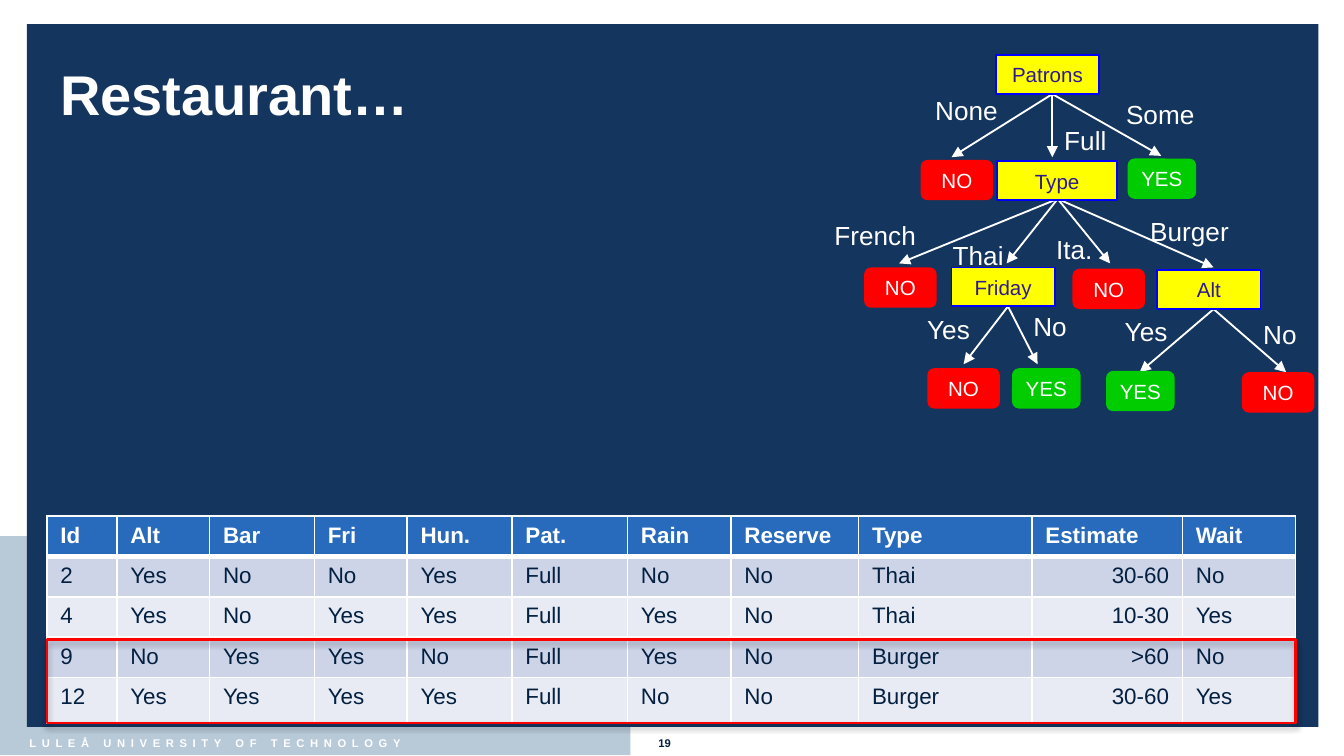
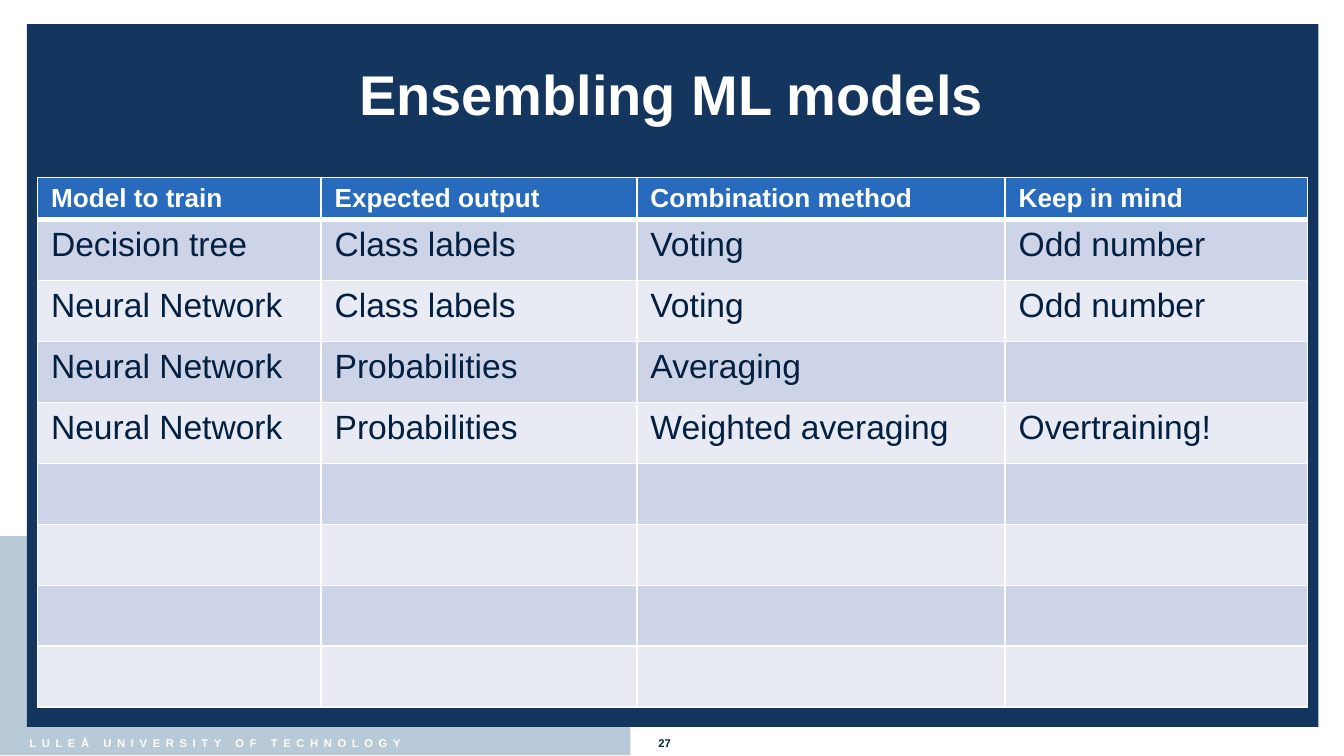
"""Build two lecture slides: a restaurant decision tree and a table of ensemble methods."""
import dataclasses

import pptx
import pptx.dml.color
import pptx.enum.shapes
import pptx.enum.text
import pptx.oxml.ns
import pptx.util
from lxml import etree

PX = 9144
SLIDE_SIZE = (1000, 562.5)
LIGHT_BAND = (0, 399, 469, 163)
PANEL = (20, 18, 961, 523)
TITLE_BOX = (35, 20, 929, 99)
FOOTER_BOX = (12, 543, 505, 25)
NUMBER_TAB = 468
FOOTER = "LULEÅ UNIVERSITY OF TECHNOLOGY"

SHAPES = pptx.enum.shapes.MSO_SHAPE
ALIGN = pptx.enum.text.PP_ALIGN
ANCHOR = pptx.enum.text.MSO_ANCHOR


@dataclasses.dataclass(frozen=True)
class Theme:
    font: str = "Arial"
    white: str = "FFFFFF"
    navy: str = "14355E"
    ink: str = "032040"
    mist: str = "B8C9D7"
    header: str = "286BBD"
    bands: tuple = ("CDD4E8", "E8EBF4")
    question: str = "FFFF00"
    question_line: str = "0000FF"
    question_text: str = "2D1993"
    yes: str = "00CC00"
    no: str = "FF0000"
    title_size: int = 30
    label_size: int = 14
    node_size: int = 11
    footer_size: int = 6
    line: float = 1
    header_line: float = 3
    frame_line: float = 1.5


THEME = Theme()

QUESTIONS = [
    ("Patrons", (741, 41, 77, 29)),
    ("Type", (742, 120, 89, 29)),
    ("Friday", (708, 199, 77, 29)),
    ("Alt", (861, 201, 77, 29)),
]
DECISIONS = [
    ("NO", 685, 119), ("YES", 839, 118),
    ("NO", 643, 199), ("NO", 798, 200),
    ("NO", 690, 274), ("YES", 753, 274),
    ("YES", 823, 276), ("NO", 924, 277),
]
DECISION_STYLE = {"YES": (51, THEME.yes), "NO": (54, THEME.no)}
DECISION_HEIGHT = 30
DECISION_ROUNDING = 0.17

BRANCHES = [
    ((783, 70), [("None", (686, 65), (708, 117)),
                 ("Full", (782, 88), (783, 117)),
                 ("Some", (828, 68), (864, 116))]),
    ((787, 148), [("French", (611, 158), (669, 196)),
                  ("Thai", (699, 173), (749, 196)),
                  ("Ita.", (776, 169), (826, 196)),
                  ("Burger", (846, 155), (903, 199))]),
    ((750, 228), [("Yes", (680, 228), (717, 271)),
                  ("No", (759, 226), (772, 271))]),
    ((903, 230), [("Yes", (827, 230), (848, 277)),
                  ("No", (930, 232), (957, 277))]),
]
LABEL_WIDTHS = {"None": 67, "Full": 52, "Some": 71, "French": 81, "Thai": 58,
                "Ita.": 47, "Burger": 79, "Yes": 52, "No": 45}
LABEL_HEIGHT = 34

GUESTS = [
    ("Id", "Alt", "Bar", "Fri", "Hun.", "Pat.", "Rain", "Reserve", "Type", "Estimate", "Wait"),
    ("2", "Yes", "No", "No", "Yes", "Full", "No", "No", "Thai", "30-60", "No"),
    ("4", "Yes", "No", "Yes", "Yes", "Full", "Yes", "No", "Thai", "10-30", "Yes"),
    ("9", "No", "Yes", "Yes", "No", "Full", "Yes", "No", "Burger", ">60", "No"),
    ("12", "Yes", "Yes", "Yes", "Yes", "Full", "No", "No", "Burger", "30-60", "Yes"),
]
GUEST_COLUMNS = [52, 69, 78, 69, 78, 86, 77, 95, 129, 112, 84]
GUEST_ROWS = [30] * 4 + [34]
BURGER_FRAME = (35, 476, 929, 62)

MODELS = [
    ("Model to train", "Expected output", "Combination method", "Keep in mind"),
    ("Decision tree", "Class labels", "Voting", "Odd number"),
    ("Neural Network", "Class labels", "Voting", "Odd number"),
    ("Neural Network", "Probabilities", "Averaging", ""),
    ("Neural Network", "Probabilities", "Weighted averaging", "Overtraining!"),
] + [("",) * 4] * 4
MODEL_COLUMNS = [211, 235, 274, 225]
MODEL_HEADER, MODEL_HEIGHT = 31, 394
HEADER_MARGIN = 3


def px(*lengths):
    """Turn px lengths into EMU."""
    return [round(length * PX) for length in lengths]


def rgb(color):
    """Return the colour for a hex string."""
    return pptx.dml.color.RGBColor.from_string(color)


def sub(parent, tag, **attributes):
    """Append a DrawingML element with the given attributes."""
    element = etree.SubElement(parent, pptx.oxml.ns.qn("a:" + tag))
    for name, value in attributes.items():
        element.set(name, str(value))
    return element


def write(para, text, size=12, color=THEME.white, bold=False, align=None, spacing=0):
    """Add one formatted span to a paragraph."""
    if align is not None:
        para.alignment = align
    span = para.add_run()
    span.text = text
    span.font.name = THEME.font
    span.font.size = pptx.util.Pt(size)
    span.font.bold = bold
    span.font.color.rgb = rgb(color)
    if spacing:
        span.font._element.set("spc", str(spacing * 100))


def add_box(page, at, text, wrap=True, anchor=ANCHOR.TOP, **style):
    """Add a text box holding one paragraph and return that paragraph."""
    box = page.shapes.add_textbox(*px(*at))
    frame = box.text_frame
    frame.word_wrap = wrap
    frame.vertical_anchor = anchor
    if not wrap:
        frame.auto_size = pptx.enum.text.MSO_AUTO_SIZE.SHAPE_TO_FIT_TEXT
    write(frame.paragraphs[0], text, **style)
    return frame.paragraphs[0]


def add_block(page, at, fill=None, line=None, width=THEME.line, kind=SHAPES.RECTANGLE):
    """Add a preset shape without shadow."""
    block = page.shapes.add_shape(kind, *px(*at))
    block.shadow.inherit = False
    if fill:
        block.fill.solid()
        block.fill.fore_color.rgb = rgb(fill)
    else:
        block.fill.background()
    if line:
        block.line.color.rgb = rgb(line)
        block.line.width = pptx.util.Pt(width)
    else:
        block.line.fill.background()
    return block


def label_block(block, text, color):
    """Centre a tree node's text inside its shape."""
    frame = block.text_frame
    frame.margin_left = frame.margin_right = frame.margin_top = frame.margin_bottom = 0
    frame.vertical_anchor = ANCHOR.MIDDLE
    write(frame.paragraphs[0], text, size=THEME.node_size, color=color, align=ALIGN.CENTER)


def add_arrow(page, start, tip):
    """Add a white arrow from start to tip."""
    arrow = page.shapes.add_connector(
        pptx.enum.shapes.MSO_CONNECTOR.STRAIGHT, *px(*start, *tip))
    arrow.line.color.rgb = rgb(THEME.white)
    arrow.line.width = pptx.util.Pt(THEME.line)
    properties = arrow.element.spPr
    sub(properties.find(pptx.oxml.ns.qn("a:ln")), "tailEnd", type="triangle")
    sub(properties, "effectLst")


def add_grid(page, left, top, rows, widths, heights, sizes, right_column=None):
    """Add a banded table whose first row is the header."""
    grid = page.shapes.add_table(
        len(rows), len(widths), *px(left, top, sum(widths), sum(heights))).table
    for column, width in zip(grid.columns, px(*widths)):
        column.width = width
    for row, height in zip(grid.rows, px(*heights)):
        row.height = height
    for index, texts in enumerate(rows):
        header = index == 0
        borders = {"lnL": THEME.line, "lnR": THEME.line}
        if header:
            borders["lnT"] = THEME.line
        borders["lnB"] = THEME.header_line if header else THEME.line
        for column, text in enumerate(texts):
            cell = grid.cell(index, column)
            if header:
                cell.margin_bottom = px(HEADER_MARGIN)[0]
            for tag, width in borders.items():
                edge = sub(cell._tc.get_or_add_tcPr(), tag, w=pptx.util.Pt(width))
                sub(sub(edge, "solidFill"), "srgbClr", val=THEME.white)
            cell.fill.solid()
            cell.fill.fore_color.rgb = rgb(
                THEME.header if header else THEME.bands[(index - 1) % 2])
            if text:
                write(cell.text_frame.paragraphs[0], text,
                      size=sizes[0] if header else sizes[1], bold=header,
                      color=THEME.white if header else THEME.ink,
                      align=ALIGN.RIGHT if column == right_column and not header else None)


def add_page(deck, title, number, align=ALIGN.LEFT):
    """Add a page with the shared panel, footer and title."""
    page = deck.slides.add_slide(deck.slide_layouts[6])
    add_block(page, LIGHT_BAND, THEME.mist)
    add_block(page, PANEL, THEME.navy)
    footer = add_box(page, FOOTER_BOX, FOOTER, size=THEME.footer_size, bold=True, spacing=3)
    tabs = sub(footer._p.get_or_add_pPr(), "tabLst")
    sub(tabs, "tab", pos=px(NUMBER_TAB)[0], algn="l")
    write(footer, f"\t{number}", size=THEME.footer_size, color=THEME.ink, bold=True)
    add_box(page, TITLE_BOX, title, anchor=ANCHOR.MIDDLE,
            size=THEME.title_size, bold=True, align=align)
    return page


def add_tree(page):
    """Draw the decision tree: arrows, nodes, then answers."""
    for start, answers in BRANCHES:
        for _, _, tip in answers:
            add_arrow(page, start, tip)
    for text, at in QUESTIONS:
        block = add_block(page, at, THEME.question, THEME.question_line)
        label_block(block, text, THEME.question_text)
    for text, left, top in DECISIONS:
        width, fill = DECISION_STYLE[text]
        block = add_block(page, (left, top, width, DECISION_HEIGHT), fill,
                          kind=SHAPES.ROUNDED_RECTANGLE)
        block.adjustments[0] = DECISION_ROUNDING
        label_block(block, text, THEME.white)
    for _, answers in BRANCHES:
        for text, corner, _ in answers:
            add_box(page, (*corner, LABEL_WIDTHS[text], LABEL_HEIGHT), text,
                    wrap=False, size=THEME.label_size)


def add_burger_frame(page):
    """Frame the burger rows in red with a soft shadow."""
    frame = add_block(page, BURGER_FRAME, line=THEME.no, width=THEME.frame_line)
    effects = frame.element.spPr.find(pptx.oxml.ns.qn("a:effectLst"))
    shadow = sub(effects, "outerShdw", blurRad=pptx.util.Pt(3.1), dist=pptx.util.Pt(1.8),
                 dir=90 * 60000, rotWithShape=0)
    sub(sub(shadow, "srgbClr", val="000000"), "alpha", val=35000)


def main():
    """Build and save the deck."""
    deck = pptx.Presentation()
    deck.slide_width, deck.slide_height = px(*SLIDE_SIZE)

    page = add_page(deck, "Restaurant…", 19)
    add_grid(page, 35, 384, GUESTS, GUEST_COLUMNS, GUEST_ROWS, (12, 12),
             right_column=GUESTS[0].index("Estimate"))
    add_tree(page)
    add_burger_frame(page)

    page = add_page(deck, "Ensembling ML models", 27, align=ALIGN.CENTER)
    body_rows = len(MODELS) - 1
    heights = [MODEL_HEADER] + [(MODEL_HEIGHT - MODEL_HEADER) / body_rows] * body_rows
    add_grid(page, 28, 132, MODELS, MODEL_COLUMNS, heights, (14, 18))

    deck.save("out.pptx")


if __name__ == "__main__":
    main()
